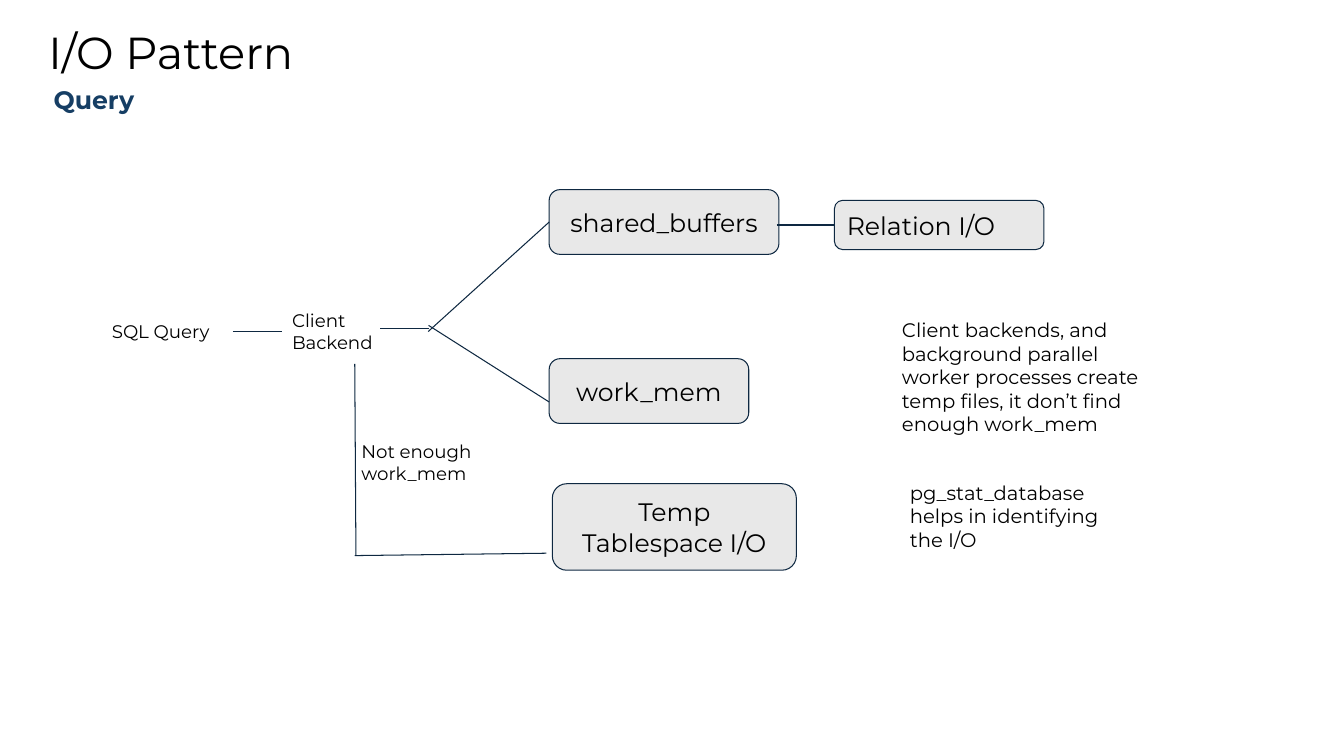
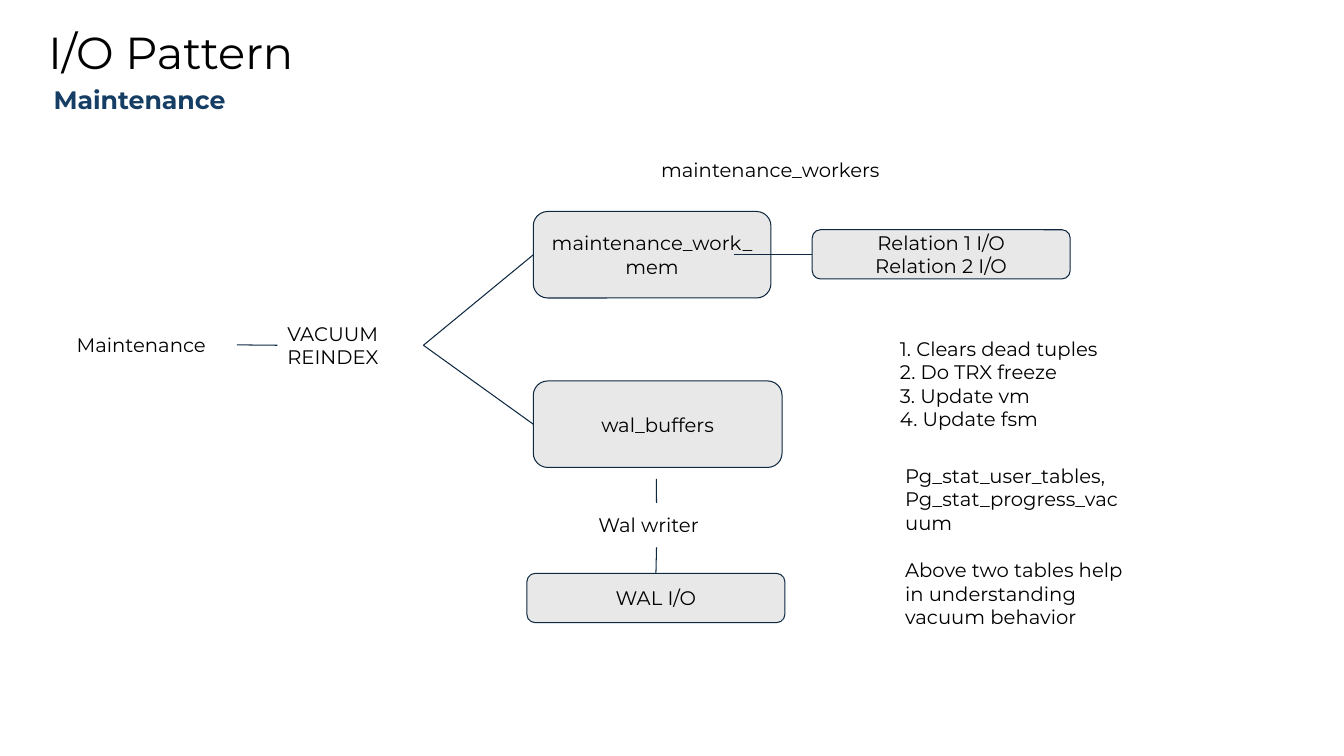
from pptx import Presentation
from pptx.dml.color import RGBColor
from pptx.enum import shapes, text
from pptx.oxml.ns import qn
from pptx.util import Cm, Pt
from lxml import etree

FONT = "Montserrat"
BLACK, NAVY, BLUE, GREY = "000000", "0E2841", "163E64", "E8E8E8"
LABEL = None
ROUNDED = shapes.MSO_SHAPE.ROUNDED_RECTANGLE
PROCESS = shapes.MSO_SHAPE.FLOWCHART_ALTERNATE_PROCESS
TOP, LEFT, BOTTOM, RIGHT = range(4)
START = text.PP_ALIGN.LEFT
CENTER = text.PP_ALIGN.CENTER


def color(value):
    return RGBColor.from_string(value)


def write(shape, content, size, fill=BLACK, bold=False, align=START,
          inset=0.25, spacing=None, gap=0, indent=0):
    frame = shape.text_frame
    frame.word_wrap = True
    frame.margin_left = frame.margin_right = Cm(inset)
    frame.margin_top = frame.margin_bottom = Cm(inset)
    for index, line in enumerate(content.split("\n")):
        paragraph = frame.add_paragraph() if index else frame.paragraphs[0]
        paragraph.alignment = align
        if spacing:
            paragraph.line_spacing = spacing
        if index and gap:
            paragraph.space_before = Pt(gap)
        if indent:
            properties = paragraph._p.get_or_add_pPr()
            properties.set("marL", str(Cm(indent)))
            properties.set("indent", "0")
        run = paragraph.add_run()
        run.text = line
        run.font.name = FONT
        run.font.size = Pt(size)
        run.font.bold = bold
        run.font.color.rgb = color(fill)


slides = [
    {
        "subtitle": "Query",
        "nodes": {
            "query": (LABEL, 2.57, 7.82, 3.3, 1.07, "SQL Query", 13, {}),
            "backend": (LABEL, 7.11, 7.54, 3.68, 1.63, "Client Backend", 13, {}),
            "buffers": (ROUNDED, 13.84, 4.78, 5.79, 1.63, "shared_buffers", 18, {"align": CENTER}),
            "work_mem": (ROUNDED, 13.84, 9.04, 5.03, 1.63, "work_mem", 18, {"align": CENTER}),
            "relation": (PROCESS, 21.03, 5.05, 5.28, 1.24, "Relation I/O", 18, {}),
            "temp": (ROUNDED, 13.92, 12.19, 6.15, 2.18, "Temp Tablespace I/O", 18, {"align": CENTER}),
            "shortage": (LABEL, 8.86, 10.85, 5.21, 1.63, "Not enough work_mem", 13, {}),
            "temp_note": (LABEL, 22.48, 7.77, 6.81, 3.51,
                          "Client backends, and background parallel worker processes "
                          "create temp files, it don’t find enough work_mem", 14, {}),
            "view_note": (LABEL, 22.68, 11.86, 5.97, 2.31,
                          "pg_stat_database helps in identifying the I/O", 14, {}),
        },
        "links": [
            (("query", RIGHT), ("backend", LEFT)),
            ((9.58, 8.28), (10.8, 8.28)),
            (("backend", RIGHT), ("buffers", LEFT)),
            ((10.8, 8.2), (13.84, 10.13)),
            ((8.94, 9.17), (8.97, 14)),
            ((8.94, 14), (13.77, 13.94)),
            ((19.58, 5.67), ("relation", LEFT)),
        ],
    },
    {
        "subtitle": "Maintenance",
        "nodes": {
            "maintenance": (LABEL, 1.68, 8.13, 4.29, 1.12, "Maintenance", 14, {}),
            "commands": (LABEL, 6.99, 7.85, 3.68, 1.7, "VACUUM\nREINDEX", 14, {}),
            "work_mem": (ROUNDED, 13.44, 5.33, 5.99, 2.18, "maintenance_work_mem", 14, {"align": CENTER}),
            "wal_buffers": (ROUNDED, 13.44, 9.6, 6.27, 2.18, "wal_buffers", 14, {"align": CENTER}),
            "wal_io": (PROCESS, 13.28, 14.45, 6.5, 1.24, "WAL I/O", 14, {"align": CENTER}),
            "relations": (PROCESS, 20.47, 5.79, 6.5, 1.24,
                          "Relation 1 I/O\nRelation 2 I/O", 14, {"align": CENTER}),
            "writer": (LABEL, 14.83, 12.67, 3.43, 1.12, "Wal writer", 14, {}),
            "steps": (LABEL, 22.02, 8.23, 6.63, 2.9,
                      "1. Clears dead tuples\n2. Do TRX freeze\n3. Update vm\n4. Update fsm",
                      14, {"indent": 0.41}),
            "view_note": (LABEL, 22.56, 11.43, 6.1, 4.7,
                          "Pg_stat_user_tables, Pg_stat_progress_vacuum\n"
                          "Above two tables help in understanding vacuum behavior",
                          14, {"gap": 17}),
            "workers": (LABEL, 16.41, 3.73, 6.78, 1.12, "maintenance_workers", 14, {}),
        },
        "links": [
            (("maintenance", RIGHT), ("commands", LEFT)),
            (("commands", RIGHT), ("work_mem", LEFT)),
            (("commands", RIGHT), ("wal_buffers", LEFT)),
            ((18.49, 6.41), ("relations", LEFT)),
            ((16.54, 12.07), ("writer", TOP)),
            (("writer", BOTTOM), ("wal_io", TOP)),
        ],
    },
]

presentation = Presentation()
presentation.slide_width = Cm(33.87)
presentation.slide_height = Cm(19.05)

for content in slides:
    slide = presentation.slides.add_slide(presentation.slide_layouts[6])

    title = slide.shapes.add_textbox(Cm(0.97), Cm(0.53), Cm(10.64), Cm(1.83))
    write(title, "I/O Pattern", 32, spacing=0.9)
    subtitle = slide.shapes.add_textbox(Cm(1.35), Cm(2.21), Cm(8.1), Cm(0.69))
    write(subtitle, content["subtitle"], 18, BLUE, bold=True, inset=0, spacing=0.9)

    nodes = {}
    for name, (kind, left, top, width, height, words, size, style) in content["nodes"].items():
        bounds = Cm(left), Cm(top), Cm(width), Cm(height)
        if kind is LABEL:
            shape = slide.shapes.add_textbox(*bounds)
            shape.text_frame.auto_size = text.MSO_AUTO_SIZE.SHAPE_TO_FIT_TEXT
        else:
            shape = slide.shapes.add_shape(kind, *bounds)
            shape.shadow.inherit = False
            shape.fill.solid()
            shape.fill.fore_color.rgb = color(GREY)
            shape.line.color.rgb = color(NAVY)
            shape.line.width = Pt(0.75)
            shape.text_frame.vertical_anchor = text.MSO_ANCHOR.MIDDLE
        write(shape, words, size, **style)
        nodes[name] = shape

    for start, end in content["links"]:
        points = [(0, 0) if point[0] in nodes else point for point in (start, end)]
        connector = slide.shapes.add_connector(
            shapes.MSO_CONNECTOR.STRAIGHT,
            *[Cm(value) for point in points for value in point])
        if start[0] in nodes:
            connector.begin_connect(nodes[start[0]], start[1])
        if end[0] in nodes:
            connector.end_connect(nodes[end[0]], end[1])
        connector.line.color.rgb = color(NAVY)
        connector.line.width = Pt(0.75)
        etree.SubElement(connector._element.spPr, qn("a:effectLst"))

presentation.save("out.pptx")
